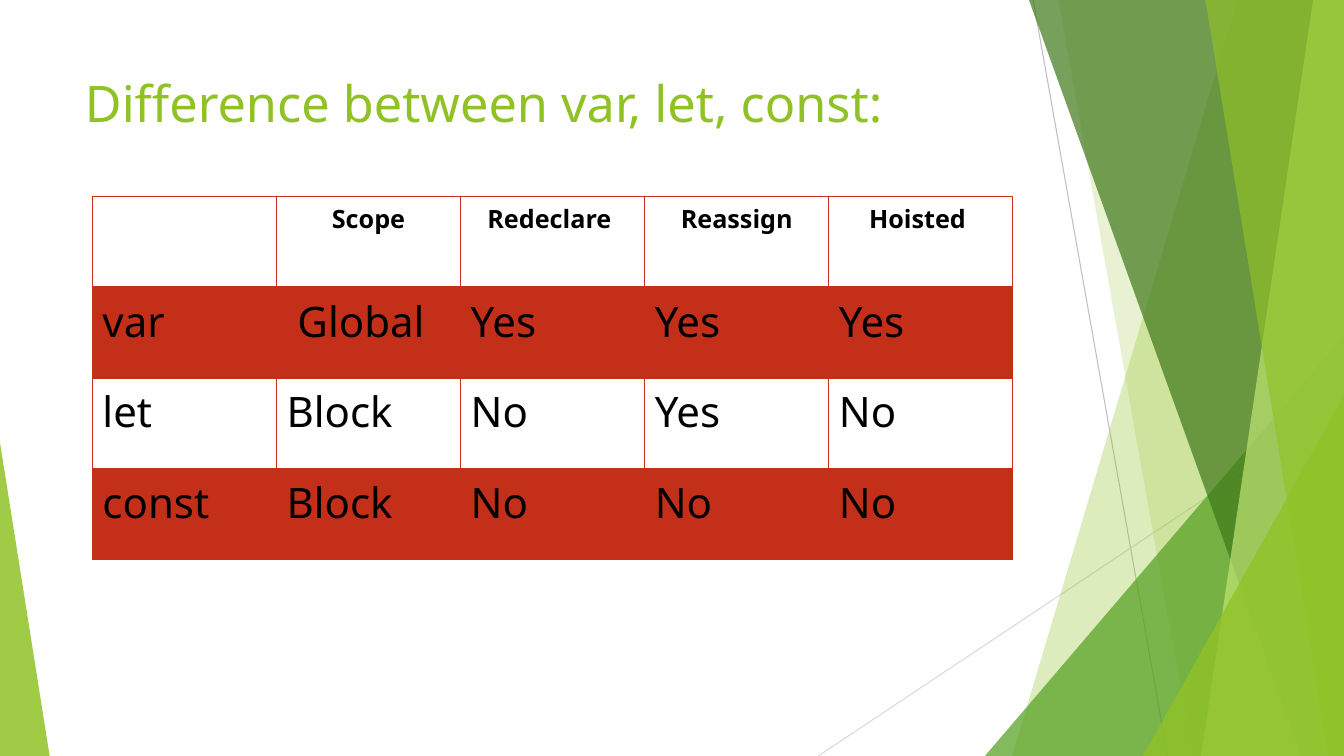
from lxml.etree import SubElement
from pptx import Presentation
from pptx.dml.color import RGBColor
from pptx.enum.shapes import MSO_CONNECTOR, MSO_SHAPE
from pptx.enum.text import MSO_ANCHOR, PP_ALIGN
from pptx.oxml.ns import qn
from pptx.util import Pt

W, H = 960, 540
FONT = "Noto Sans"
C = {"lime": "90C226", "green": "54A021", "forest": "3F7819", "pale": "C0E474",
     "red": "C42F1A", "black": "000000", "grey": "BFBFBF", "light": "D9D9D9"}


def paint(fill, color, alpha):
    """Give a fill a solid colour with an opacity in percent."""
    fill.solid()
    fill.fore_color.rgb = RGBColor.from_string(C[color])
    clr = fill._xPr.find(".//" + qn("a:srgbClr"))
    SubElement(clr, qn("a:alpha"), val=str(alpha * 1000))


def write(tf, text, size, color, bold=False, align=PP_ALIGN.LEFT):
    """Put one formatted run into a text frame."""
    p = tf.paragraphs[0]
    p.alignment = align
    r = p.add_run()
    r.text = text
    r.font.name, r.font.size, r.font.bold = FONT, Pt(size), bold
    r.font.color.rgb = RGBColor.from_string(C[color])


prs = Presentation()
prs.slide_width, prs.slide_height = Pt(W), Pt(H)
s = prs.slides.add_slide(prs.slide_layouts[5])

# Thin background lines
for color, x1, y1, x2, y2 in [("grey", 738, 0, 834, H), ("light", W, 290, 584.5, H)]:
    line = s.shapes.add_connector(MSO_CONNECTOR.STRAIGHT, Pt(x1), Pt(y1), Pt(x2), Pt(y2))
    line.line.color.rgb = RGBColor.from_string(C[color])
    line.line.width = Pt(0.75)
    SubElement(line._element.spPr, qn("a:effectLst"))

# Bands reach the right edge: left x at the top and at the bottom.
# Triangles stand on the bottom edge: left, top, width and apex position.
facets = [
    ("band", "lime", 30, (884, 723)),
    ("band", "lime", 20, (756, 852)),
    ("triangle", "green", 72, (703.5, 240, 256.5, 1)),
    ("band", "forest", 70, (735, 929.5)),
    ("band", "pale", 70, (938, 858)),
    ("band", "lime", 65, (861, 949)),
    ("triangle", "lime", 80, (816.5, 283, 143.5, 1)),
    ("triangle", "lime", 85, (0, 316, 35.5, 0)),
]
for kind, color, alpha, place in facets:
    if kind == "band":
        top_x, bottom_x = place
        fb = s.shapes.build_freeform(Pt(top_x), 0)
        fb.add_line_segments([(Pt(W), 0), (Pt(W), Pt(H)), (Pt(bottom_x), Pt(H))])
        sp = fb.convert_to_shape()
    else:
        x, y, width, apex = place
        sp = s.shapes.add_shape(MSO_SHAPE.ISOSCELES_TRIANGLE,
                                Pt(x), Pt(y), Pt(width), Pt(H - y))
        sp.adjustments[0] = apex
    sp.shadow.inherit = False
    sp.line.fill.background()
    paint(sp.fill, color, alpha)

# Title, in front of the facets
title = s.shapes.title
title.left, title.top, title.width, title.height = Pt(53.5), Pt(48), Pt(677), Pt(104)
title.text_frame.word_wrap = True
title.text_frame.vertical_anchor = MSO_ANCHOR.TOP
write(title.text_frame, "Difference between var, let, const:", 36, "lime")
title.element.getparent().append(title.element)

# Comparison table
rows = [
    ["", "Scope", "Redeclare ", "Reassign", "Hoisted "],
    ["var", " Global", "Yes", "Yes", "Yes"],
    ["let", "Block", "No", "Yes", "No"],
    ["const", "Block", "No", "No", "No"],
]
COL, ROW = 131.5, 64.8
tbl = s.shapes.add_table(len(rows), len(rows[0]), Pt(66), Pt(140.4),
                         Pt(COL * len(rows[0])), Pt(ROW * len(rows))).table
tbl.first_row = tbl.horz_banding = False
for i, row in enumerate(rows):
    for j, text in enumerate(row):
        cell = tbl.cell(i, j)
        tcPr = cell._tc.get_or_add_tcPr()
        for side in "LRTB":
            thick = (i, side) in [(0, "B"), (1, "T")]
            ln = SubElement(tcPr, qn("a:ln" + side), w=str(Pt(2 if thick else 1)))
            SubElement(SubElement(ln, qn("a:solidFill")), qn("a:srgbClr"), val=C["red"])
        if i % 2:
            paint(cell.fill, "red", 20)
        else:
            cell.fill.background()
        if text and i == 0:
            write(cell.text_frame, text, 18, "black", bold=True, align=PP_ALIGN.CENTER)
        elif text:
            write(cell.text_frame, text, 30, "black")

prs.save("out.pptx")
